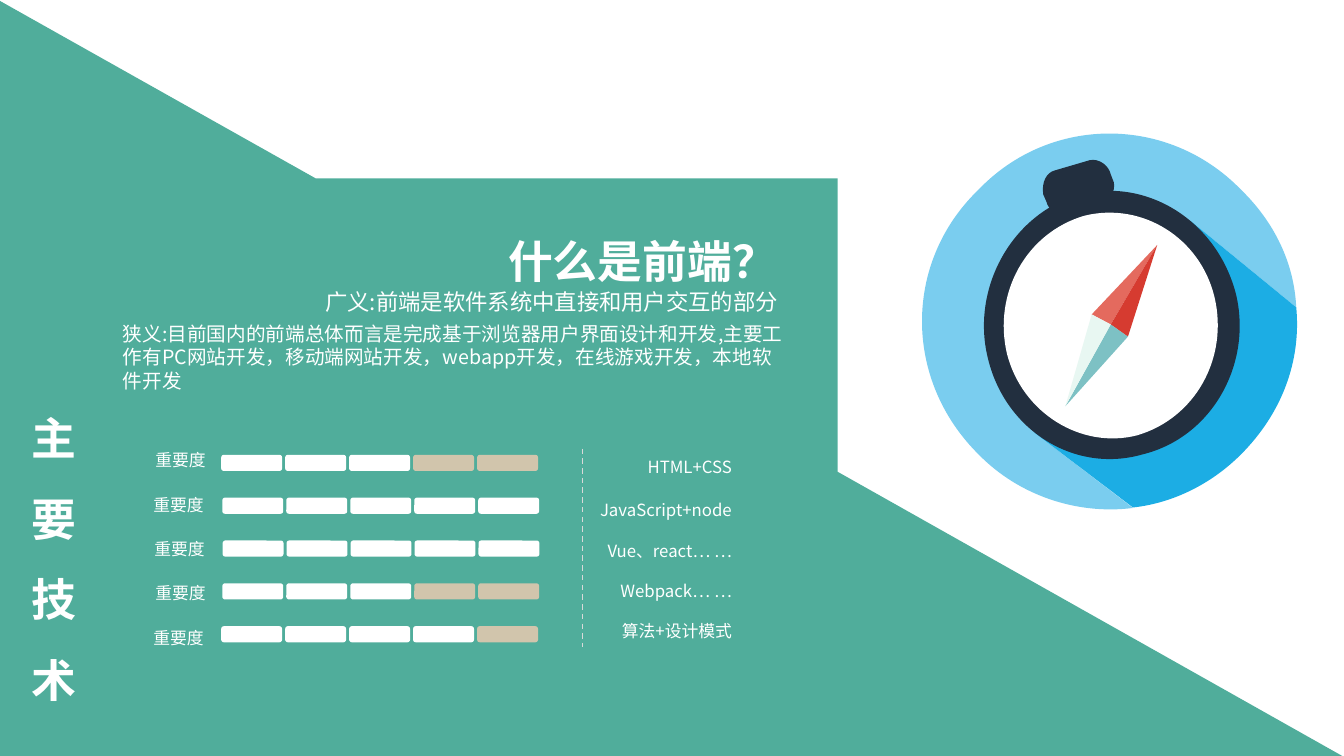
from dataclasses import dataclass
from typing import NamedTuple

from lxml.etree import SubElement as Sub
from pptx import Presentation
from pptx.dml.color import RGBColor as RGB
from pptx.enum.dml import MSO_LINE as Dash
from pptx.enum.shapes import MSO_CONNECTOR as Link, MSO_SHAPE as Kind
from pptx.enum.text import MSO_ANCHOR as Anchor, MSO_AUTO_SIZE as Fit, PP_ALIGN as Align
from pptx.oxml.ns import qn
from pptx.util import Pt


@dataclass(frozen=True)
class Theme:
    font: str = "Noto Sans CJK SC"
    white: str = "FFFFFF"
    green: str = "3DA591"
    sand: str = "D1C5AC"
    rule: str = "D9D9D9"
    sky: str = "7ACDEF"
    blue: str = "1CADE4"
    navy: str = "222F3F"
    coral: str = "E46A5E"
    red: str = "D63B30"
    teal: str = "7DC1C4"
    mint: str = "E8F7F2"
    head: int = 32
    lead: int = 16
    body: int = 14
    small: int = 12


class Box(NamedTuple):
    x: float
    y: float
    w: float
    h: float


class Row(NamedTuple):
    skill: str
    top: float    # top of the skill's text box
    score: int    # white cells out of five
    left: float   # left edge of the meter
    label: float  # left edge of the label box


class Part(NamedTuple):
    color: str
    start: tuple
    steps: list   # two numbers: a line; six numbers: a cubic curve


T = Theme()
CELLS = 5
ROWS = [
    Row("HTML+CSS", 319, 3, 158, 38.2),
    Row("JavaScript+node", 349.9, 5, 158.8, 36.7),
    Row("Vue、react… …", 379.4, 5, 159, 37.4),
    Row("Webpack… …", 407.5, 3, 158.8, 38.2),
    Row("算法+设计模式", 436.3, 4, 158, 36.7),
]

# Needle corners and compass outlines
WEST, MID, EAST = (779.8, 224.6), (793.4, 231.8), (805.7, 240.5)
NORTH, SOUTH = (826.6, 175), (761, 290.2)
COMPASS = [
    Part(T.sky, (850.3, 157.7), [
        (925.9, 219.6),
        (924.5, 188.6, 910.8, 159.1, 886.3, 135.4),
        (834.5, 82.1, 750.2, 82.1, 699.1, 135.4),
        (645.1, 187.2, 645.1, 271.4, 699.1, 324.7),
        (727.9, 354.2, 769.7, 367.9, 809.3, 362.9),
        (738.7, 308.9)]),
    Part(T.blue, (925.9, 219.6), [
        (850.3, 157.7), (738.7, 308.9), (809.3, 362.5),
        (838.1, 359.3, 865.4, 345.6, 886.3, 324.7),
        (915.8, 295.2, 929.5, 257.8, 925.9, 219.6)]),
    Part(T.navy, (705.6, 255.6), [
        (717.8, 307.4, 767.5, 338.4, 815.8, 324.7),
        (866.2, 312.5, 895, 259.2, 882.7, 209.5),
        (869, 157.7, 819.4, 126.7, 771.1, 139),
        (722.9, 152.6, 693.4, 205.9, 705.6, 255.6)]),
    Part(T.white, (719.3, 252.7), [
        (730.1, 295.2, 772.6, 321.1, 812.2, 311),
        (853.9, 298.8, 877.7, 255.6, 867.6, 212.4),
        (857.5, 169.9, 815.8, 144, 774.7, 154.1),
        (733, 166.3, 709.2, 209.5, 719.3, 252.7)]),
    Part(T.coral, WEST, [MID, NORTH]),
    Part(T.red, EAST, [MID, NORTH]),
    Part(T.teal, EAST, [MID, SOUTH]),
    Part(T.mint, WEST, [MID, SOUTH]),
    Part(T.navy, (747.4, 144), [
        (748.8, 150.5, 756, 154.1, 762.5, 152.6), (784.8, 147.6),
        (792, 145.4, 797, 136.8, 795.6, 130.3), (793.4, 124.6),
        (792, 118.1, 784.8, 113, 778.3, 114.5), (753.8, 121.7),
        (747.4, 123.1, 743.8, 130.3, 745.2, 139)]),
]
FIELD = Part(T.green, (0, 0.7), [
    (225.4, 127.4), (598.3, 127.4), (598.3, 337), (960, 540.7),
    (598.3, 540.7), (0, 540.7), (0, 127.4)])


def paint(shape, color: str) -> None:
    shape.shadow.inherit = False
    shape.fill.solid()
    shape.fill.fore_color.rgb = RGB.from_string(color)
    shape.line.fill.background()


def outline(shapes, part: Part):
    dots = [(Pt(s[i]), Pt(s[i + 1])) for s in part.steps for i in range(0, len(s), 2)]
    pen = shapes.build_freeform(*map(Pt, part.start), scale=1.0)
    pen.add_line_segments(dots, close=True)
    shape = pen.convert_to_shape()
    paint(shape, part.color)

    # Join each three control points into one curve
    legs = iter(list(shape.element.iter(qn("a:lnTo"))))
    for step in part.steps:
        leg = next(legs)
        if len(step) == 6:
            leg.tag = qn("a:cubicBezTo")
            for _ in range(2):
                spare = next(legs)
                leg.append(spare[0])
                spare.getparent().remove(spare)
    return shape


def write(shape, box: Box, text: str, size: int, align=Align.RIGHT,
          anchor=Anchor.MIDDLE, bold: bool = False, gap: float = 1.0) -> None:
    shape.left, shape.top, shape.width, shape.height = map(Pt, box)
    frame = shape.text_frame
    frame.word_wrap = True
    frame.auto_size = Fit.NONE
    frame.vertical_anchor = anchor
    para = frame.paragraphs[0]
    props = para._p.get_or_add_pPr()
    props.set("marL", "0")
    props.set("indent", "0")
    Sub(props, qn("a:buNone"))
    para.alignment = align
    para.space_before = Pt(0)
    para.line_spacing = gap
    run = para.add_run()
    run.text = text
    font = run.font
    font.name, font.size, font.bold = T.font, Pt(size), bold
    font.color.rgb = RGB.from_string(T.white)
    Sub(run._r.get_or_add_rPr(), qn("a:ea")).set("typeface", T.font)


def label(slide, box: Box, text: str, size: int, **opts) -> None:
    write(slide.shapes.add_textbox(*map(Pt, box)), box, text, size, **opts)


def meter(slide, row: Row, top: float) -> None:
    group = slide.shapes.add_group_shape()
    for i in range(CELLS):
        cell = group.shapes.add_shape(
            Kind.ROUNDED_RECTANGLE, Pt(row.left + 45.7 * i), Pt(top), Pt(43.5), Pt(11.5))
        paint(cell, T.white if i < row.score else T.sand)


def main() -> None:
    deck = Presentation()
    deck.slide_width, deck.slide_height = Pt(960), Pt(540)
    slide = deck.slides.add_slide(deck.slide_layouts[1])

    # Green field, behind the placeholders
    field = outline(slide.shapes, FIELD)
    tint = field.element.spPr.find(qn("a:solidFill"))[0]
    Sub(tint, qn("a:alpha")).set("val", "90000")
    field.element.getparent().insert(2, field.element)

    # Title and definitions
    write(slide.shapes.title, Box(70.6, 144, 491.8, 58.3), "什么是前端？", T.head,
          anchor=Anchor.TOP, bold=True, gap=1.5)
    label(slide, Box(96.5, 200.9, 466.6, 28.8),
          "广义:前端是软件系统中直接和用户交互的部分", T.lead)
    write(slide.placeholders[1], Box(80.6, 226.1, 489.6, 58.3),
          "狭义:目前国内的前端总体而言是完成基于浏览器用户界面设计和开发,主要工作有PC网站开发，"
          "移动端网站开发，webapp开发，在线游戏开发，本地软件开发",
          T.body, align=Align.LEFT, anchor=Anchor.TOP)

    # Skill rows
    for i, row in enumerate(ROWS):
        meter(slide, row, 324.9 + 30.6 * i)
        label(slide, Box(row.label, 314.3 + 31.7 * i, 115.9, 28.8), "重要度", T.small)
        label(slide, Box(414, row.top, 115.9, 28.8), row.skill, T.small)

    # Dashed divider
    rule = slide.shapes.add_connector(Link.STRAIGHT, Pt(416.2), Pt(320.4), Pt(416.2), Pt(462.2))
    rule.line.color.rgb = RGB.from_string(T.rule)
    rule.line.width = Pt(1)
    rule.line.dash_style = Dash.DASH
    Sub(rule.element.spPr, qn("a:effectLst"))

    # Compass
    group = slide.shapes.add_group_shape()
    for part in COMPASS:
        outline(group.shapes, part)

    # Side heading
    label(slide, Box(1.2, 270.7, 60.5, 233.3), "主要技术", T.head,
          anchor=Anchor.TOP, bold=True, gap=1.5)
    deck.save("out.pptx")


if __name__ == "__main__":
    main()
